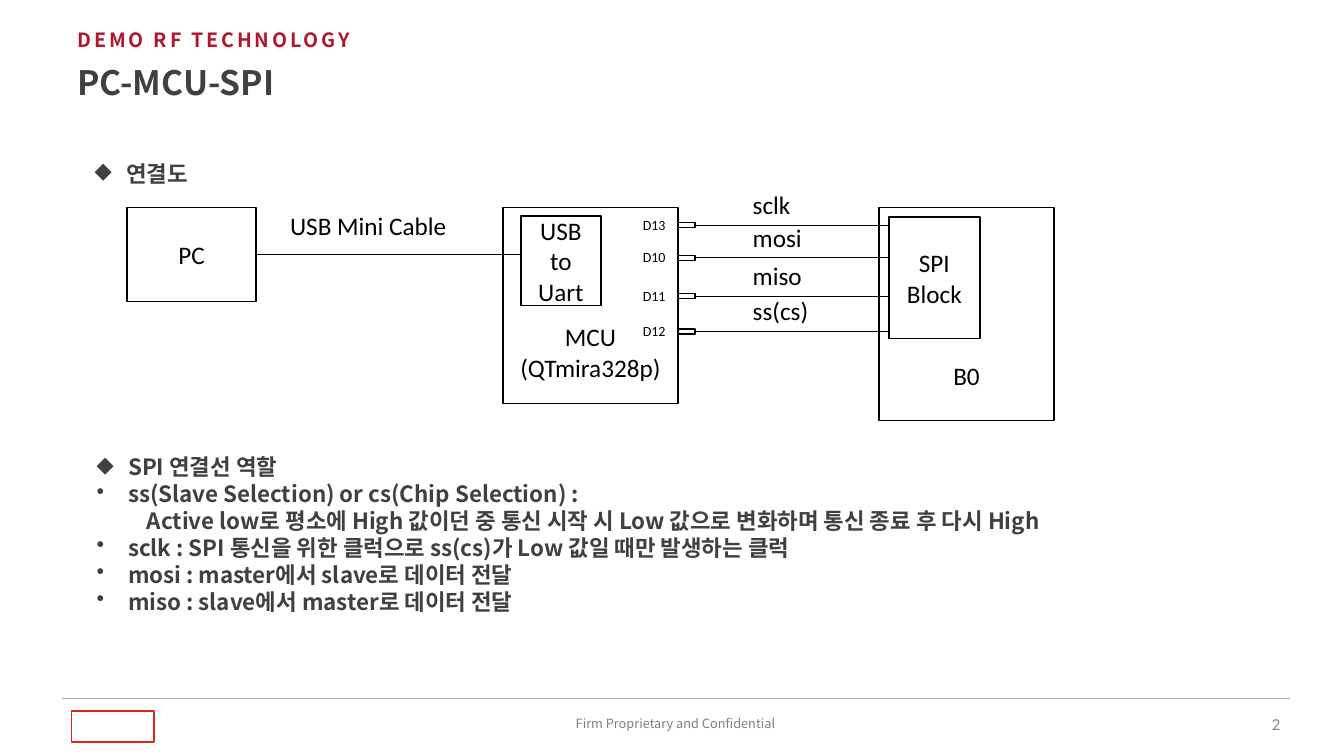
from lxml.etree import SubElement
from pptx import Presentation
from pptx.dml.color import RGBColor
from pptx.enum.shapes import MSO_CONNECTOR, MSO_SHAPE
from pptx.enum.text import MSO_ANCHOR, PP_ALIGN
from pptx.oxml import parse_xml
from pptx.oxml.ns import nsdecls, qn
from pptx.util import Pt

SANS = "Noto Sans CJK KR"
BODY = "Calibri"
BLACK = "000000"
DARK = "404040"
INDENT = 22.5


def color(value):
    return RGBColor.from_string(value)


def style_paragraph(paragraph, size, font_name, text_color, bold, align, spacing=0):
    paragraph.alignment = align
    font = paragraph.font
    font.size, font.name, font.bold = Pt(size), font_name, bold
    font.color.rgb = color(text_color)
    properties = paragraph._p.get_or_add_pPr().get_or_add_defRPr()
    SubElement(properties, qn("a:ea")).set("typeface", font_name)
    if spacing:
        properties.set("spc", str(spacing * 100))


def fill_text(frame, lines, size, font_name=BODY, text_color=BLACK, bold=False,
              align=PP_ALIGN.LEFT, spacing=0):
    frame.word_wrap = True
    for index, line in enumerate(lines):
        paragraph = frame.add_paragraph() if index else frame.paragraphs[0]
        paragraph.text = line
        style_paragraph(paragraph, size, font_name, text_color, bold, align, spacing)


def add_text(slide, left, top, width, height, lines, size, **style):
    frame = slide.shapes.add_textbox(Pt(left), Pt(top), Pt(width), Pt(height)).text_frame
    fill_text(frame, lines, size, **style)
    return frame


def add_box(slide, left, top, width, height, lines=(), lowered=0):
    shape = slide.shapes.add_shape(MSO_SHAPE.RECTANGLE, Pt(left), Pt(top), Pt(width), Pt(height))
    shape.shadow.inherit = False
    shape.fill.solid()
    shape.fill.fore_color.rgb = color("FFFFFF")
    shape.line.color.rgb = color(BLACK)
    shape.line.width = Pt(1)
    frame = shape.text_frame
    frame.vertical_anchor = MSO_ANCHOR.MIDDLE
    frame.margin_top = Pt(3.6 + 2 * lowered)
    fill_text(frame, lines, 18, align=PP_ALIGN.CENTER)
    return shape


def add_line(slide, start_x, end_x, y, line_color=BLACK):
    line = slide.shapes.add_connector(MSO_CONNECTOR.STRAIGHT, Pt(start_x), Pt(y), Pt(end_x), Pt(y))
    line.line.color.rgb = color(line_color)
    line.line.width = Pt(0.5)
    SubElement(line._element.spPr, qn("a:effectLst"))
    return line


def indent_paragraph(paragraph, left, bullet=None):
    properties = paragraph._p.get_or_add_pPr()
    properties.set("marL", str(Pt(left)))
    properties.set("indent", str(Pt(-left if bullet else 0)))
    if bullet:
        properties.insert(0, parse_xml(f'<a:buChar {nsdecls("a")} char="{bullet}"/>'))


def add_header(slide, left, top, width):
    add_text(slide, left, top, width, 24.5, ["DEMO RF TECHNOLOGY"], 14,
             font_name=SANS, text_color="B1162B", bold=True, spacing=2)
    add_text(slide, left, top + 24.5, width, 36, ["PC-MCU-SPI"], 24,
             font_name=SANS, text_color=DARK, bold=True)


def add_bullets(slide, left, top, width, height, items):
    frame = add_text(slide, left, top, width, height, [text for _, text in items], 16,
                     font_name=SANS, text_color=DARK, bold=True)
    for paragraph, (bullet, _) in zip(frame.paragraphs, items):
        indent_paragraph(paragraph, INDENT if bullet else 36, bullet)


def add_signal(slide, left, right, y, pin_name, signal_name):
    pin = add_box(slide, left, y - 1.8, 12.2, 3.6)
    wire = add_line(slide, left + 12.2, right, y)
    wire.begin_connect(pin, 3)
    add_text(slide, left - 32.2, y - 10, 33, 19.4, [pin_name], 10)
    add_text(slide, left + 46.3, y - 29, 58, 29, [signal_name], 18)


def add_diagram(slide, left, top):
    mcu_left, block_left = left + 268.6, left + 537.2
    pin_left, spi_left = mcu_left + 125, block_left + 7
    pc = add_box(slide, left, top, 92.2, 67, ["PC"])
    add_box(slide, mcu_left, top, 125, 140, ["MCU", "(QTmira328p)"], lowered=33)
    add_box(slide, mcu_left + 12.9, top + 6, 57, 64, ["USB", "to Uart"])
    add_box(slide, block_left, top, 125, 152, ["B0"], lowered=44)
    add_box(slide, spi_left, top + 6.7, 65, 87, ["SPI", "Block"])
    cable = add_line(slide, left + 92.2, mcu_left + 12.9, top + 33.5)
    cable.begin_connect(pc, 3)
    add_text(slide, left + 109.4, top - 1.5, 142.6, 29, ["USB Mini Cable"], 18)
    signals = [(12.5, "D13", "sclk"), (35.8, "D10", "mosi"),
               (63.2, "D11", "miso"), (88.4, "D12", "ss(cs)")]
    for offset, pin_name, signal_name in signals:
        add_signal(slide, pin_left, spi_left, top + offset, pin_name, signal_name)


def add_footer(slide, left, top, width):
    add_line(slide, left, left + width, top, "A6A6A6")
    mark = slide.shapes.add_shape(MSO_SHAPE.RECTANGLE, Pt(left + 6.5), Pt(top + 9), Pt(59), Pt(22))
    mark.shadow.inherit = False
    mark.fill.background()
    mark.line.color.rgb = color("E1251B")
    mark.line.width = Pt(1.25)
    add_text(slide, left + 323, top + 8.6, 230, 18.7, ["Firm Proprietary and Confidential"],
             9.1, font_name=SANS, text_color="808080", align=PP_ALIGN.CENTER)
    number = add_text(slide, left + width - 216, top + 3.6, 216, 28.8, ["2"], 12,
                      text_color="8C8C8C", align=PP_ALIGN.RIGHT)
    number.vertical_anchor = MSO_ANCHOR.MIDDLE


def main():
    presentation = Presentation()
    presentation.slide_width, presentation.slide_height = Pt(960), Pt(540)
    slide = presentation.slides.add_slide(presentation.slide_layouts[6])
    add_footer(slide, 44.6, 499, 877)
    add_header(slide, 48.2, 16.5, 813.6)
    add_bullets(slide, 60.5, 110.9, 813.6, 26.6, [("◆", "연결도")])
    add_diagram(slide, 90.7, 148.3)
    add_bullets(slide, 61.9, 320.4, 812.2, 123.8, [
        ("◆", "SPI 연결선 역할"),
        ("•", "ss(Slave Selection) or cs(Chip Selection) :"),
        (None, "Active low로 평소에 High 값이던 중 통신 시작 시 Low 값으로 변화하며 통신 종료 후 다시 High"),
        ("•", "sclk : SPI 통신을 위한 클럭으로 ss(cs)가 Low 값일 때만 발생하는 클럭"),
        ("•", "mosi : master에서 slave로 데이터 전달"),
        ("•", "miso : slave에서 master로 데이터 전달"),
    ])
    presentation.save("out.pptx")


if __name__ == "__main__":
    main()
